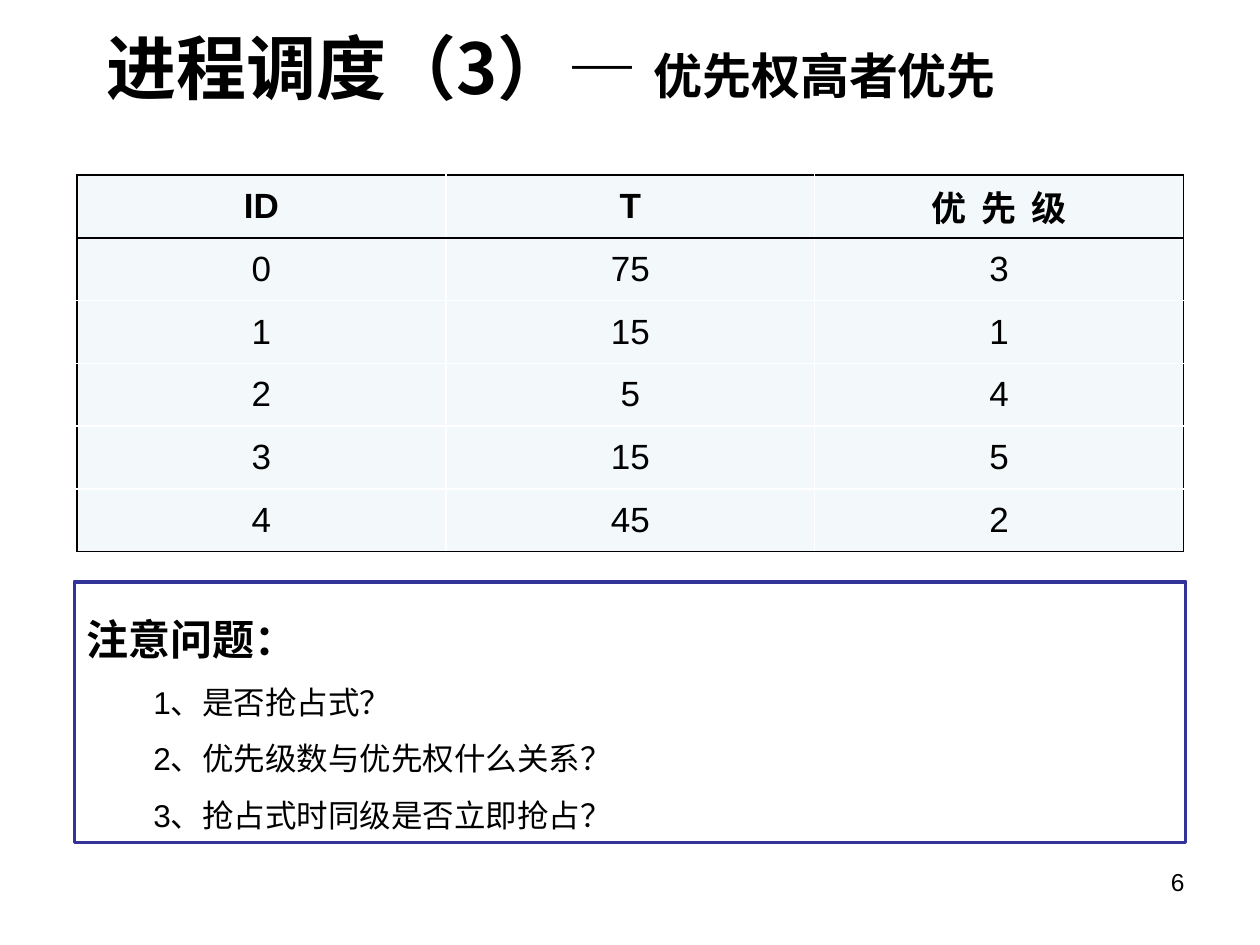
from lxml import etree
from pptx import Presentation
from pptx.dml.color import RGBColor
from pptx.enum.shapes import MSO_SHAPE
from pptx.enum.text import MSO_ANCHOR, PP_ALIGN
from pptx.oxml.ns import qn
from pptx.util import Pt

RECT = MSO_SHAPE.RECTANGLE
TOP, MID = MSO_ANCHOR.TOP, MSO_ANCHOR.MIDDLE
LEFT, CENTER, RIGHT = PP_ALIGN.LEFT, PP_ALIGN.CENTER, PP_ALIGN.RIGHT
HAN = "Noto Sans CJK SC"
HUES = {"ink": "000000", "paper": "FFFFFF", "cell": "F3F9FA", "frame": "333399"}

# Content
TITLE = [("进程调度（3）", 40, True), ("— ", 40, False), ("优先权高者优先", 28, True)]
ROWS = [
    ("ID", "T", "优 先 级"),
    ("0", "75", "3"),
    ("1", "15", "1"),
    ("2", "5", "4"),
    ("3", "15", "5"),
    ("4", "45", "2"),
]
HEAD = "注意问题："
NOTES = ["是否抢占式？", "优先级数与优先权什么关系？", "抢占式时同级是否立即抢占？"]
PAGE = "6"


def hue(name):
    return RGBColor.from_string(HUES[name])


def write(para, text, size=18, bold=False, font="Arial", align=LEFT,
          line=None, gap=None, indent=0, track=0):
    para.alignment = align
    if line:
        para.line_spacing = line
    if gap is not None:
        para.space_before = para.space_after = Pt(gap)
    if indent:
        props = para._p.get_or_add_pPr()
        props.set("marL", str(Pt(indent)))
        props.set("indent", "0")
    run = para.add_run()
    run.text = text
    run.font.size, run.font.bold, run.font.name = Pt(size), bold, font
    run.font.color.rgb = hue("ink")
    props = run._r.get_or_add_rPr()
    if track:
        props.set("spc", str(int(track * 100)))
    etree.SubElement(props, qn("a:ea")).set("typeface", HAN)


def edge(cell, side, name):
    # Borders must come before the fill in the cell properties
    line = etree.SubElement(cell._tc.get_or_add_tcPr(), qn("a:" + side), w=str(Pt(1)))
    fill = etree.SubElement(line, qn("a:solidFill"))
    etree.SubElement(fill, qn("a:srgbClr"), val=HUES[name])


def textbox(x, y, w, h, anchor=TOP):
    frame = slide.shapes.add_textbox(Pt(x), Pt(y), Pt(w), Pt(h)).text_frame
    frame.word_wrap = True
    frame.vertical_anchor = anchor
    return frame.paragraphs[0]


deck = Presentation()
deck.slide_width, deck.slide_height = Pt(720), Pt(540)
slide = deck.slides.add_slide(deck.slide_layouts[6])

# Table
last, end = len(ROWS) - 1, len(ROWS[0]) - 1
grid = slide.shapes.add_table(len(ROWS), len(ROWS[0]), Pt(44), Pt(100),
                              Pt(632.4), Pt(215.28)).table
for col in grid.columns:
    col.width = Pt(210.8)
for r, row in enumerate(ROWS):
    grid.rows[r].height = Pt(35.88)
    for c, text in enumerate(row):
        cell = grid.cell(r, c)
        cell.vertical_anchor = MID
        cell.margin_left = cell.margin_right = Pt(5)
        cell.margin_top = cell.margin_bottom = 0
        dark = {"lnL": c == 0, "lnR": c == end, "lnT": r < 2, "lnB": r in (0, last)}
        for side, on in dark.items():
            edge(cell, side, "ink" if on else "paper")
        cell.fill.solid()
        cell.fill.fore_color.rgb = hue("cell")
        write(cell.text_frame.paragraphs[0], text, size=20, bold=r == 0,
              align=CENTER, gap=2.5, track=2 if " " in text else 0)

# Title
para = textbox(54, 15.12, 612, 46.08, MID)
for text, size, bold in TITLE:
    write(para, text, size=size, bold=bold, font=HAN)

# Notes box
box = slide.shapes.add_shape(RECT, Pt(42.48), Pt(332.5), Pt(635.04), Pt(149))
box.shadow.inherit = False
box.fill.solid()
box.fill.fore_color.rgb = hue("paper")
box.line.color.rgb = hue("frame")
box.line.width = Pt(2)
frame = box.text_frame
frame.word_wrap = True
frame.vertical_anchor = TOP
write(frame.paragraphs[0], HEAD, size=24, bold=True, line=1.5)
for n, note in enumerate(NOTES, 1):
    write(frame.add_paragraph(), f"{n}、{note}", line=1.5, indent=38)

# Page number
write(textbox(516.24, 491.76, 167.76, 37.44), PAGE, size=14, align=RIGHT)

deck.save("out.pptx")
